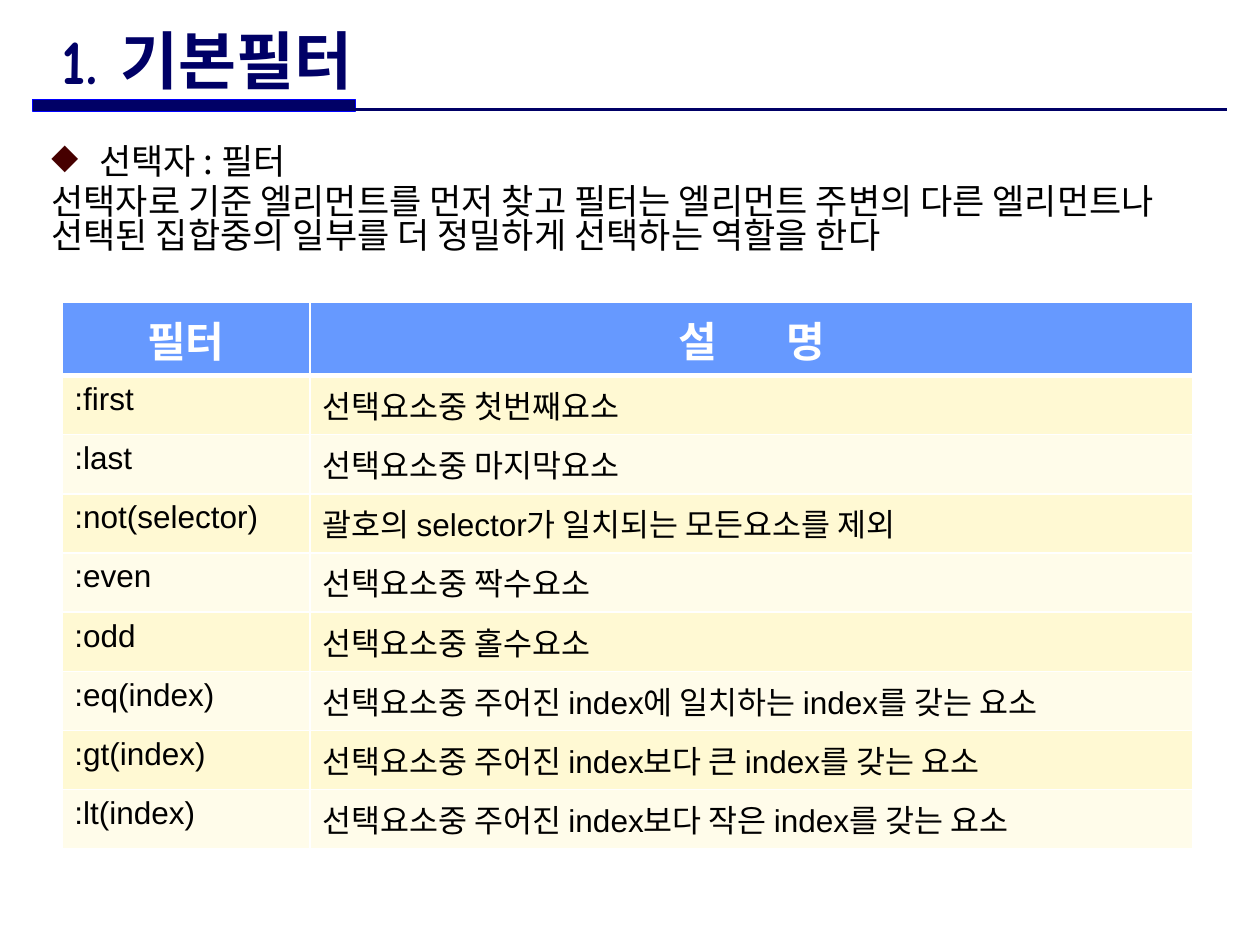
from lxml.etree import SubElement
from pptx import Presentation
from pptx.dml.color import RGBColor
from pptx.enum.shapes import MSO_CONNECTOR, MSO_SHAPE
from pptx.enum.text import MSO_ANCHOR, PP_ALIGN
from pptx.oxml.ns import qn
from pptx.util import Emu, Inches, Pt

NAVY, WHITE, BLACK = "000066", "FFFFFF", "000000"
HEAD, BANDS = "6699FF", ("FFF9D3", "FFFCEA")
HANGUL = "Noto Sans CJK KR"


def color(code):
    """Turn a hex string into a colour."""
    return RGBColor.from_string(code)


def sub(parent, tag, **attrs):
    """Add an XML child with the given attributes."""
    return SubElement(parent, qn(tag), attrs)


class Page:
    """The slide with its text and line style."""

    def __init__(self, deck):
        """Add a blank slide."""
        self.shapes = deck.slides.add_slide(deck.slide_layouts[6]).shapes

    def style(self, para, size, face, ink=BLACK, bold=False):
        """Set the font of a paragraph, Hangul included."""
        font = para.font
        font.size, font.name, font.bold = Pt(size), face, bold
        font.color.rgb = color(ink)
        for props in para._p.iter(qn("a:defRPr")):
            sub(props, "a:ea", typeface=HANGUL)

    def bar(self, x, y, w, h, fill, edge):
        """Draw a filled bar with a thin edge."""
        box = self.shapes.add_shape(
            MSO_SHAPE.RECTANGLE, Inches(x), Inches(y), Inches(w), Inches(h))
        box.shadow.inherit = False
        box.fill.solid()
        box.fill.fore_color.rgb = color(fill)
        box.line.color.rgb = color(edge)
        box.line.width = Pt(0.75)

    def rule(self, x, y, end, ink):
        """Draw a horizontal line."""
        line = self.shapes.add_connector(
            MSO_CONNECTOR.STRAIGHT, Inches(x), Inches(y), Inches(end), Inches(y))
        line.line.color.rgb = color(ink)
        line.line.width = Pt(1.5)
        sub(line._element.spPr, "a:effectLst")

    def frame(self, x, y, w, h, anchor=MSO_ANCHOR.TOP):
        """Add a wrapping text box and return its text frame."""
        text = self.shapes.add_textbox(
            Inches(x), Inches(y), Inches(w), Inches(h)).text_frame
        text.word_wrap = True
        text.vertical_anchor = anchor
        return text

    def title(self, words, *place):
        """Write the slide title."""
        para = self.frame(*place, MSO_ANCHOR.MIDDLE).paragraphs[0]
        para.text = words
        self.style(para, 36, "Comic Neue", NAVY, True)

    def body(self, point, note, *place):
        """Write a bulleted point and a plain note below it."""
        text = self.frame(*place)
        for para, words in ((text.paragraphs[0], point),
                            (text.add_paragraph(), note)):
            para.text = words
            para.line_spacing = 0.8
            para.space_before = Pt(4)
            self.style(para, 20, HANGUL)
        self.bullet(text.paragraphs[0], "◆", "460000")

    def bullet(self, para, mark, ink):
        """Give a paragraph a coloured bullet and a hanging indent."""
        props = para._p.get_or_add_pPr()
        props.set("marL", str(Inches(0.38)))
        props.set("indent", str(-Inches(0.38)))
        tint = sub(props, "a:buClr")
        sub(tint, "a:srgbClr", val=ink)
        sign = sub(props, "a:buChar", char=mark)
        props.find(qn("a:defRPr")).addprevious(tint)
        tint.addnext(sign)

    def border(self, cell, **widths):
        """Draw white cell borders, widths in points."""
        props = cell._tc.get_or_add_tcPr()
        for at, (side, width) in enumerate(widths.items()):
            edge = sub(props, "a:ln" + side, w=str(Pt(width)))
            sub(sub(edge, "a:solidFill"), "a:srgbClr", val=WHITE)
            props.insert(at, edge)

    def cell(self, cell, words, row):
        """Fill and write one cell; row 0 is the header."""
        head = row == 0
        cell.fill.solid()
        cell.fill.fore_color.rgb = color(HEAD if head else BANDS[(row - 1) % 2])
        self.border(cell, L=1, R=1, T=3 if row == 1 else 1, B=3 if head else 1)
        para = cell.text_frame.paragraphs[0]
        for part in words.split("|"):
            para.add_run().text = part
        if head:
            para.alignment = PP_ALIGN.CENTER
            self.style(para, 24, "Arial", WHITE, True)
        else:
            self.style(para, 18, "Arial")

    def table(self, rows, x, y, cols, top, high):
        """Build the table from rows of words."""
        grid = self.shapes.add_table(
            len(rows), len(cols), Inches(x), Inches(y),
            Inches(sum(cols)), Inches(top + high * (len(rows) - 1))).table
        for col, wide in zip(grid.columns, cols):
            col.width = Inches(wide)
        for i, row in enumerate(rows):
            grid.rows[i].height = Inches(high if i else top)
            for j, words in enumerate(row):
                self.cell(grid.cell(i, j), words, i)
        return grid


FILTERS = [
    ("필터", "설 |명"),
    (":first", "선택요소중 첫번째요소"),
    (":last", "선택요소중 마지막요소"),
    (":not(selector)", "괄호의 selector가 일치되는 모든요소를 제외"),
    (":even", "선택요소중 짝수요소"),
    (":odd", "선택요소중 홀수요소"),
    (":eq(index)", "선택요소중 주어진 index에 일치하는 index를 갖는 요소"),
    (":gt(index)", "선택요소중 주어진 index보다 큰 index를 갖는 요소"),
    (":lt(index)", "선택요소중 주어진 index보다 작은 index를 갖는 요소"),
]

deck = Presentation()
deck.slide_width, deck.slide_height = Inches(10), Inches(7.5)
page = Page(deck)
page.bar(0.26, 0.79, 2.56, 0.09, NAVY, "0000FF")
page.rule(0.26, 0.87, 9.74, NAVY)
page.body("선택자 : 필터",
          "선택자로 기준 엘리먼트를 먼저 찾고 필터는 엘리먼트 주변의 다른 엘리먼트나 "
          "선택된 집합중의 일부를 더 정밀하게 선택하는 역할을 한다",
          0.31, 1.12, 9.43, 6.01)
page.title("1. 기본필터", 0.39, 0.21, 6.79, 0.52)
grid = page.table(FILTERS, 0.49, 2.4, (1.97, 7.01), 0.58, 0.47)
wide = grid.cell(0, 1).text_frame.paragraphs[0].runs[0]
wide.font._element.set("spc", "1700")
deck.save("out.pptx")
